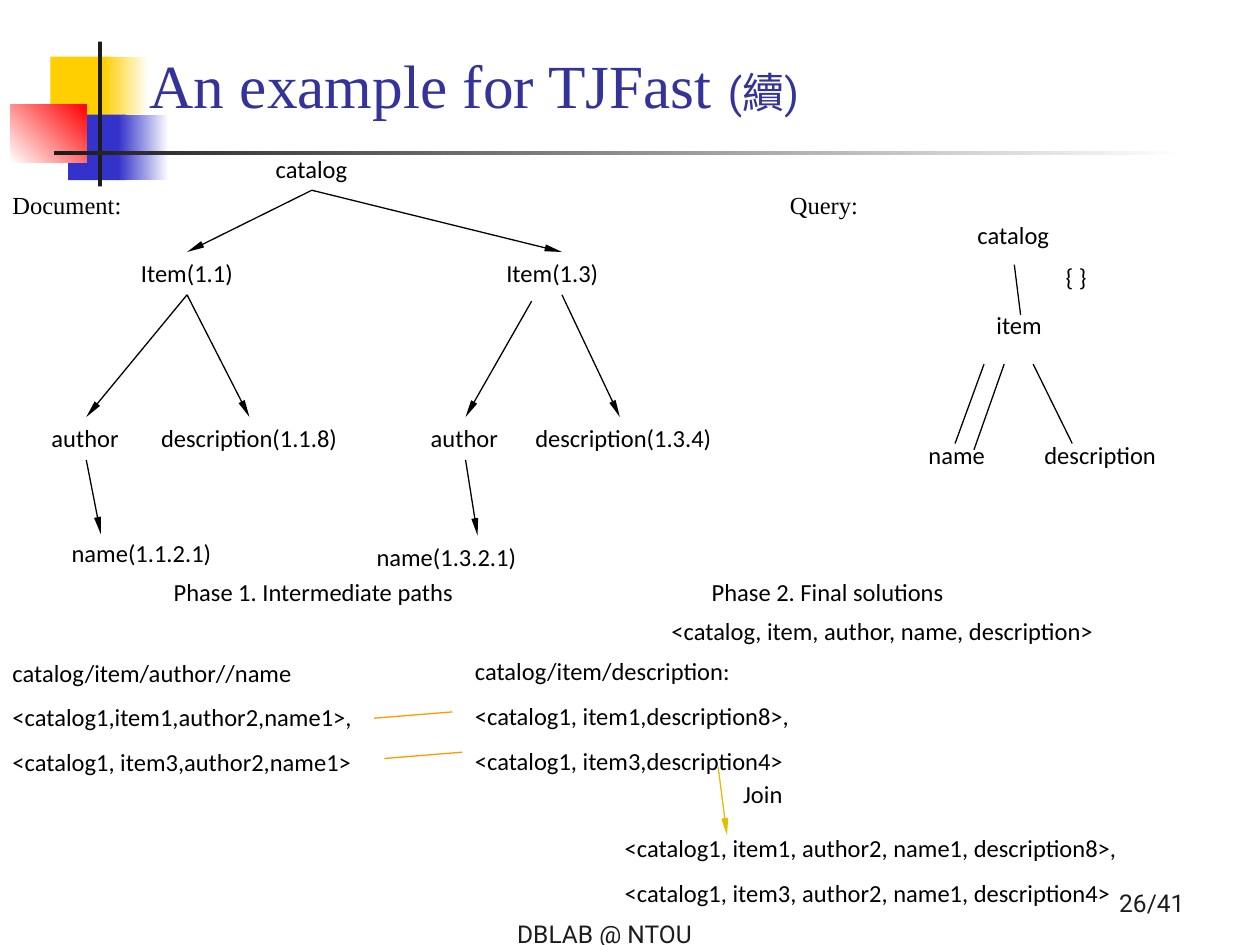
import dataclasses

import pptx
import pptx.dml.color
import pptx.enum.shapes
import pptx.enum.text
import pptx.oxml
import pptx.oxml.ns
import pptx.util
from pptx.util import Inches

TOP, BOTTOM = 0, 2
ANCHOR = pptx.enum.text.MSO_ANCHOR
ALIGN = pptx.enum.text.PP_ALIGN
AUTO_SIZE = pptx.enum.text.MSO_AUTO_SIZE


@dataclasses.dataclass(frozen=True)
class Theme:
    black: str = "000000"
    dark: str = "1C1C1C"
    white: str = "FFFFFF"
    yellow: str = "FFCF01"
    blue: str = "3333CC"
    red: str = "FF0000"
    title: str = "333399"
    match: str = "FF9900"
    join: str = "E7BB01"
    body_font: str = "Calibri"
    serif_font: str = "Times New Roman"
    footer_font: str = "Roboto"
    body_size: float = 14
    title_size: float = 35
    gap_size: float = 36
    suffix_size: float = 24
    line_width: float = 0.75
    paragraph_gap: float = 8.8


def color(value):
    return pptx.dml.color.RGBColor.from_string(value)


def apply(target, values):
    for name, value in values.items():
        setattr(target, name, value)


class SlideBuilder:
    def __init__(self, slide, theme):
        self.slide = slide
        self.theme = theme

    def block(self, box, start, end=None, angle=0):
        """Rectangle with a plain fill, or a gradient when an end colour is given."""
        shape = self.slide.shapes.add_shape(
            pptx.enum.shapes.MSO_SHAPE.RECTANGLE, *map(Inches, box))
        shape.shadow.inherit = False
        shape.line.fill.background()
        if end is None:
            shape.fill.solid()
            shape.fill.fore_color.rgb = color(start)
        else:
            shape.fill.gradient()
            shape.fill.gradient_angle = angle
            for stop, value in zip(shape.fill.gradient_stops, (start, end)):
                stop.color.rgb = color(value)

    def run(self, paragraph, text, font, size, value):
        run = paragraph.add_run()
        run.text = text
        apply(run.font, {"name": font, "size": pptx.util.Pt(size)})
        run.font.color.rgb = color(value)

    def frame(self, box, **format_values):
        shape = self.slide.shapes.add_textbox(*map(Inches, box))
        apply(shape.text_frame, format_values)
        return shape

    def text(self, box, *lines, wrap=True, font=None):
        shape = self.frame(box, word_wrap=wrap, auto_size=AUTO_SIZE.SHAPE_TO_FIT_TEXT)
        frame = shape.text_frame
        for index, line in enumerate(lines):
            paragraph = frame.add_paragraph() if index else frame.paragraphs[0]
            if index:
                paragraph.space_before = pptx.util.Pt(self.theme.paragraph_gap)
            self.run(paragraph, line, font or self.theme.body_font,
                     self.theme.body_size, self.theme.black)
        return shape

    def title(self, box, *runs):
        shape = self.frame(box, word_wrap=True, vertical_anchor=ANCHOR.BOTTOM)
        for text, font, size in runs:
            self.run(shape.text_frame.paragraphs[0], text, font, size, self.theme.title)

    def footer(self, box, text):
        shape = self.frame(box, word_wrap=True, vertical_anchor=ANCHOR.BOTTOM)
        paragraph = shape.text_frame.paragraphs[0]
        paragraph.alignment = ALIGN.RIGHT
        self.run(paragraph, text, self.theme.footer_font,
                 self.theme.body_size, self.theme.dark)

    def line(self, start, end, value=None, arrow=False):
        """Each end is an (x, y) point or a text box; boxes join bottom to top."""
        points = [end_ if isinstance(end_, tuple) else (0, 0) for end_ in (start, end)]
        connector = self.slide.shapes.add_connector(
            pptx.enum.shapes.MSO_CONNECTOR.STRAIGHT,
            *(Inches(number) for point in points for number in point))
        if not isinstance(start, tuple):
            connector.begin_connect(start, BOTTOM)
        if not isinstance(end, tuple):
            connector.end_connect(end, TOP)
        connector.line.color.rgb = color(value or self.theme.black)
        connector.line.width = pptx.util.Pt(self.theme.line_width)
        if arrow:
            outline = connector.line._get_or_add_ln()
            outline.append(pptx.oxml.parse_xml(
                f'<a:tailEnd {pptx.oxml.ns.nsdecls("a")} type="triangle" w="sm" len="lg"/>'))
        connector._element.spPr.append(pptx.oxml.parse_xml(
            f'<a:effectLst {pptx.oxml.ns.nsdecls("a")}/>'))


def main():
    presentation = pptx.Presentation()
    apply(presentation, {"slide_width": Inches(10), "slide_height": Inches(7.5)})
    theme = Theme()
    builder = SlideBuilder(
        presentation.slides.add_slide(presentation.slide_layouts[6]), theme)

    # Corner decoration
    builder.block((0.4, 0.45, 0.48, 0.52), theme.yellow)
    builder.block((0.82, 0.45, 0.36, 0.52), theme.yellow, theme.white)
    builder.block((0.54, 0.91, 0.46, 0.52), theme.blue)
    builder.block((0.94, 0.91, 0.4, 0.52), theme.blue, theme.white)
    builder.block((0.08, 0.83, 0.61, 0.46), theme.white, theme.red, angle=45)
    builder.block((0.78, 0.33, 0.03, 1.15), theme.dark)
    builder.block((0.43, 1.2, 9, 0.03), theme.dark, theme.white)

    # Title and section headings
    builder.title((1.09, 0.31, 8.38, 0.7),
                  ("An example for TJFast", theme.serif_font, theme.title_size),
                  (" ", theme.footer_font, theme.gap_size),
                  ("(續)", theme.footer_font, theme.suffix_size))
    builder.text((0, 1.46, 1.83, 0.34), "Document:", font=theme.serif_font)
    builder.text((6.17, 1.46, 1.25, 0.34), "Query:", font=theme.serif_font)

    # Document tree
    nodes = {}
    for key, label, left, top, width, wrap in (
            ("catalog", "catalog", 2.09, 1.17, 0.77, False),
            ("item1", "Item(1.1)", 1.02, 2, 0.93, False),
            ("item3", "Item(1.3)", 3.92, 2, 1.08, True),
            ("author1", "author", 0.31, 3.31, 0.75, False),
            ("description1", "description(1.1.8)", 1.18, 3.31, 1.6, False),
            ("author3", "author", 3.32, 3.31, 0.75, False),
            ("description3", "description(1.3.4)", 4.15, 3.31, 1.6, False),
            ("name1", "name(1.1.2.1)", 0.47, 4.22, 1.72, True),
            ("name3", "name(1.3.2.1)", 2.89, 4.25, 1.8, True)):
        nodes[key] = builder.text((left, top, width, 0.34), label, wrap=wrap)
    for start, end in (
            ("catalog", "item1"), ("catalog", "item3"),
            ("item1", "author1"), ("item1", "description1"),
            ((4.22, 2.39), "author3"), ("item3", (4.92, 3.31)),
            ("author1", (0.8, 4.24)), ("author3", "name3")):
        builder.line(nodes.get(start, start), nodes.get(end, end), arrow=True)

    # Query tree
    for label, left, top, width in (
            ("catalog", 7.66, 1.7, 0.77), ("item", 7.81, 2.41, 0.56),
            ("name", 7.27, 3.44, 0.65), ("description", 8.19, 3.44, 1.09)):
        builder.text((left, top, width, 0.34), label, wrap=False)
    builder.text((8.36, 2.03, 1.64, 0.34), "{ }")
    for start, end in (((8.05, 2.1), (8.1, 2.5)), ((8.2, 2.89), (8.51, 3.52)),
                       ((7.81, 2.89), (7.58, 3.52)), ((7.97, 2.89), (7.73, 3.57))):
        builder.line(start, end)

    # Phase 1: intermediate paths and their matches
    builder.text((1.28, 4.53, 4.5, 0.34), "Phase 1. Intermediate paths")
    builder.text((0, 5.17, 3.75, 1.05), "catalog/item/author//name",
                 "<catalog1,item1,author2,name1>,", "<catalog1, item3,author2,name1>")
    builder.text((3.67, 5.16, 3.75, 1.05), "catalog/item/description:",
                 "<catalog1, item1,description8>,", "<catalog1, item3,description4>")
    for left, top in ((2.97, 5.65), (3.05, 5.97)):
        builder.line((left, top + 0.05), (left + 0.62, top), theme.match)

    # Phase 2: joined solutions
    builder.text((5.55, 4.53, 4.5, 0.34), "Phase 2. Final solutions")
    builder.text((5.23, 4.84, 4.59, 0.34), "<catalog, item, author, name, description>")
    builder.text((5.8, 6.13, 0.92, 0.34), "Join")
    builder.line((5.7, 6.09), (5.77, 6.63), theme.join, arrow=True)
    builder.text((4.86, 6.56, 4.11, 0.69),
                 "<catalog1, item1, author2, name1, description8>,",
                 "<catalog1, item3, author2, name1, description4>", wrap=False)

    # Footer
    builder.footer((2.42, 7.08, 3.17, 0.5), "DBLAB @ NTOU")
    builder.footer((7.17, 6.83, 2.33, 0.5), "26/41")

    presentation.save("out.pptx")


if __name__ == "__main__":
    main()
